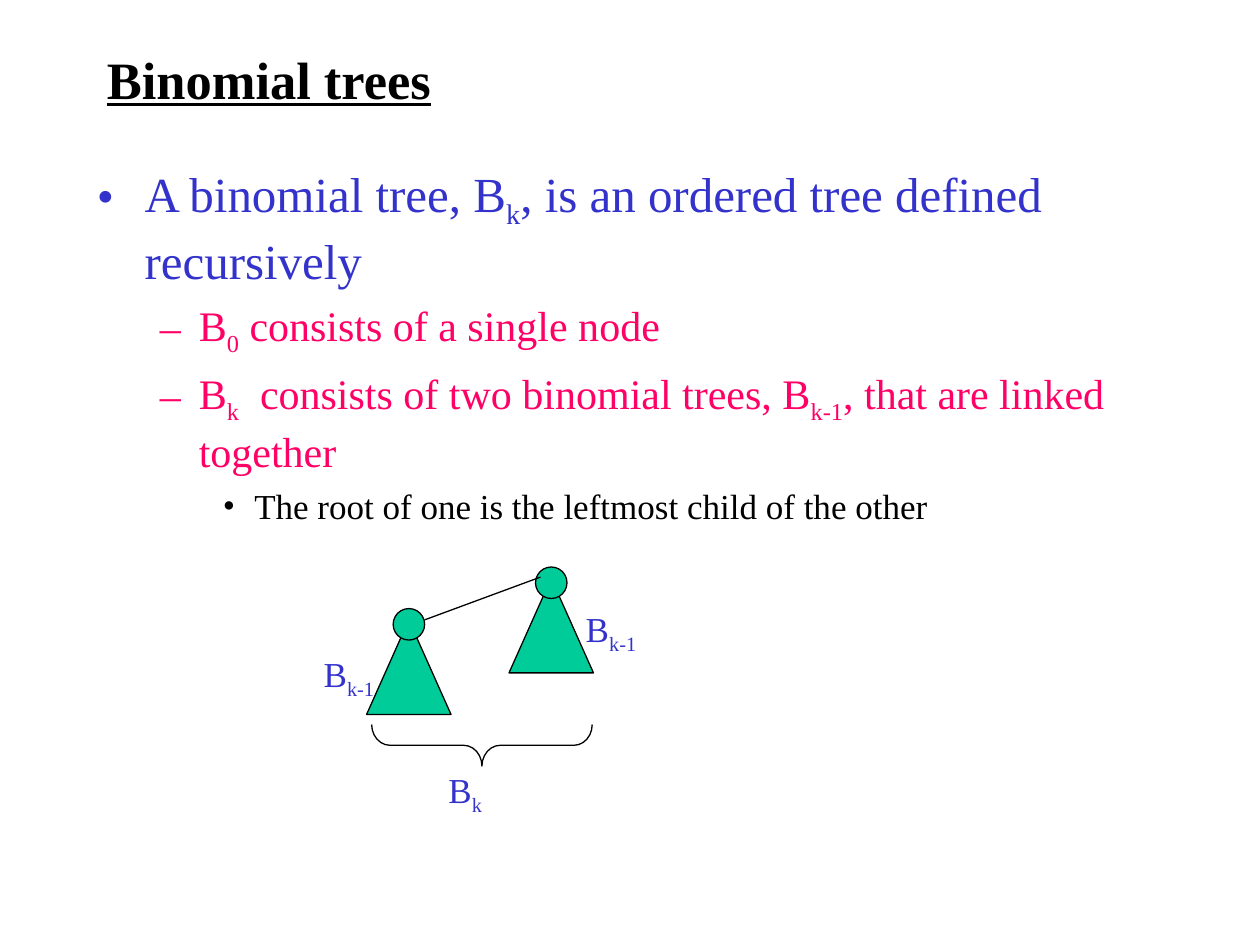
"""Build the slide that defines binomial trees."""
from lxml import etree
from pptx import Presentation
from pptx.dml.color import RGBColor
from pptx.enum import shapes, text
from pptx.oxml import ns
from pptx.util import Inches, Pt

BLACK = RGBColor(0, 0, 0)
BLUE = RGBColor(0x33, 0x33, 0xCC)
PINK = RGBColor(0xFF, 0x00, 0x66)
GREEN = RGBColor(0x00, 0xCC, 0x99)
FONT = "Times New Roman"
LINE_WIDTH = Pt(0.74)

TITLE = "Binomial trees"
# Every second part of a text is a subscript.
BODY = [
    (0, ["A binomial tree, B", "k", ", is an ordered tree defined recursively"]),
    (1, ["B", "0", " consists of a single node"]),
    (1, ["B", "k", "  consists of two binomial trees, B", "k-1", ", that are linked together"]),
    (2, ["The root of one is the leftmost child of the other"]),
]
LEVELS = [
    dict(size=28, color=BLUE, before=7, bullet="•", indent=0.38, hanging=0.38),
    dict(size=24, color=PINK, before=6, bullet="–", indent=0.81, hanging=0.31),
    dict(size=20, color=BLACK, before=5, bullet="•", indent=1.25, hanging=0.25),
]
TREES = [(2.91, 4.83), (4.04, 4.5)]
LABELS = [(4.55, 4.77, ["B", "k-1"]), (2.47, 5.13, ["B", "k-1"]), (3.46, 6.05, ["B", "k"])]


def add_bullet(paragraph, bullet, color, indent, hanging):
    properties = paragraph._p.get_or_add_pPr()
    properties.set("marL", str(Inches(indent)))
    properties.set("indent", str(-Inches(hanging)))
    bullet_color = etree.SubElement(properties, ns.qn("a:buClr"))
    etree.SubElement(bullet_color, ns.qn("a:srgbClr")).set("val", str(color))
    etree.SubElement(properties, ns.qn("a:buFont")).set("typeface", FONT)
    etree.SubElement(properties, ns.qn("a:buChar")).set("char", bullet)


def write(paragraph, parts, size=20, color=BLUE, bold=False, underline=False,
          before=0, bullet=None, indent=0, hanging=0):
    paragraph.space_before = Pt(before)
    if bullet:
        add_bullet(paragraph, bullet, color, indent, hanging)
    for index, part in enumerate(parts):
        run = paragraph.add_run()
        run.text = part
        font = run.font
        font.name, font.size, font.bold, font.underline = FONT, Pt(size), bold, underline
        font.color.rgb = color
        if index % 2:
            font._element.set("baseline", "-25000")


def add_text_frame(left, top, width, height):
    frame = slide.shapes.add_textbox(*map(Inches, (left, top, width, height))).text_frame
    frame.word_wrap = True
    return frame


def add_outline(container, kind, left, top, width, height, fill=None):
    shape = container.add_shape(kind, *map(Inches, (left, top, width, height)))
    shape.shadow.inherit = False
    if fill is None:
        shape.fill.background()
    else:
        shape.fill.solid()
        shape.fill.fore_color.rgb = fill
    shape.line.color.rgb = BLACK
    shape.line.width = LINE_WIDTH
    return shape


presentation = Presentation()
presentation.slide_width, presentation.slide_height = Inches(10), Inches(7.5)
slide = presentation.slides.add_slide(presentation.slide_layouts[6])

body = add_text_frame(0.67, 1.25, 8.5, 5.58)
for number, (level, parts) in enumerate(BODY):
    paragraph = body.add_paragraph() if number else body.paragraphs[0]
    paragraph.level = level
    write(paragraph, parts, **LEVELS[level])

title = add_text_frame(0.75, 0.33, 6.75, 0.58)
title.vertical_anchor = text.MSO_ANCHOR.MIDDLE
write(title.paragraphs[0], [TITLE], size=30, color=BLACK, bold=True, underline=True)

for left, top in TREES:
    tree = slide.shapes.add_group_shape().shapes
    add_outline(tree, shapes.MSO_SHAPE.ISOSCELES_TRIANGLE, left, top + 0.09, 0.67, 0.75, GREEN)
    add_outline(tree, shapes.MSO_SHAPE.OVAL, left + 0.21, top, 0.25, 0.25, GREEN)

link = slide.shapes.add_connector(
    shapes.MSO_CONNECTOR.STRAIGHT, *map(Inches, (3.37, 4.92, 4.29, 4.58)))
link.line.color.rgb = BLACK
link.line.width = LINE_WIDTH
etree.SubElement(link._element.spPr, ns.qn("a:effectLst"))

brace = add_outline(slide.shapes, shapes.MSO_SHAPE.LEFT_BRACE, 3.66, 5.04, 0.33, 1.75)
brace.rotation = 270
brace.adjustments[0] = 0.44

for left, top, parts in LABELS:
    write(add_text_frame(left, top, 0.68, 0.49).paragraphs[0], parts)

presentation.save("out.pptx")
